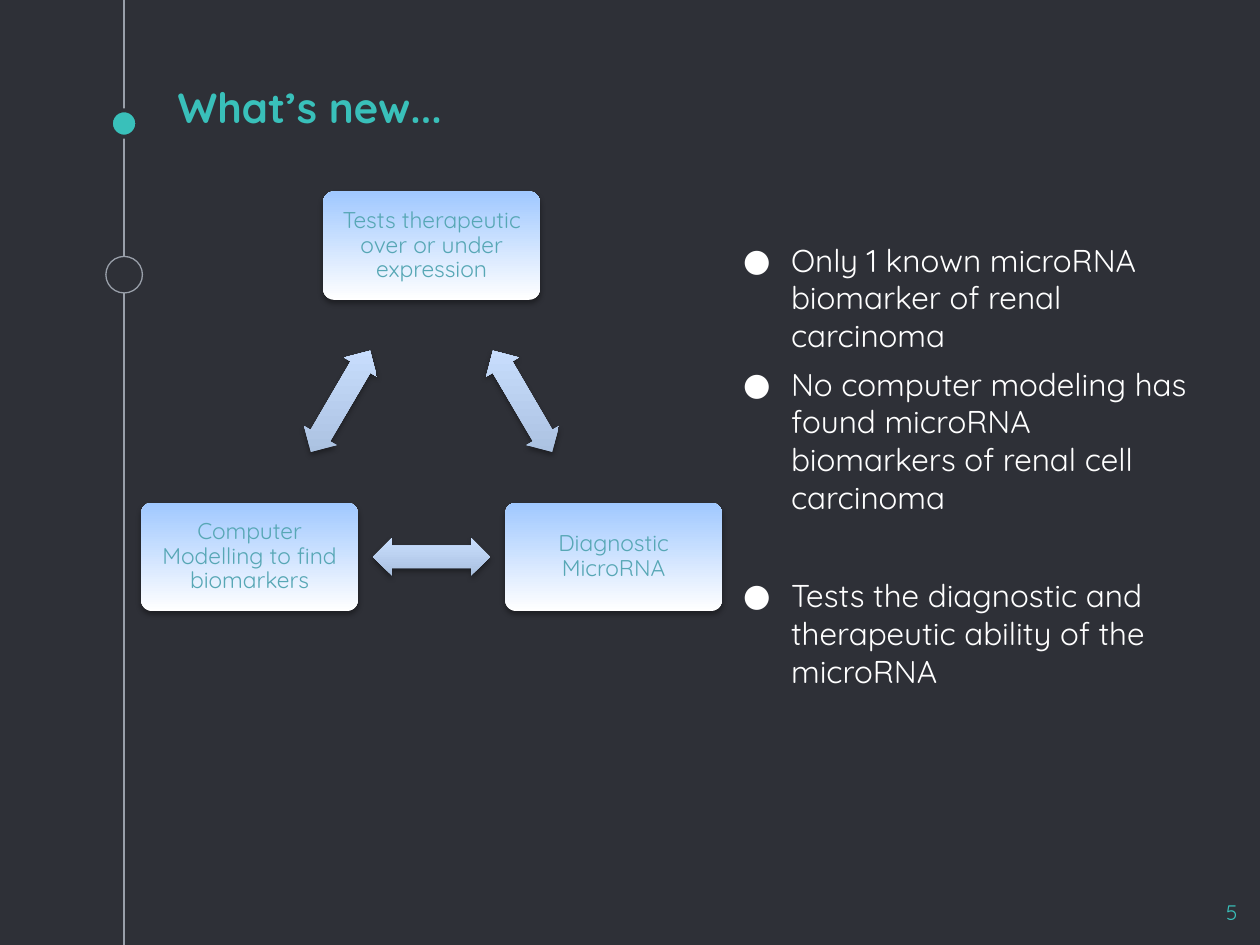
from collections import namedtuple
from math import atan2, degrees

from lxml import etree
from pptx import Presentation
from pptx.dml.color import RGBColor
from pptx.enum.shapes import MSO_CONNECTOR, MSO_SHAPE
from pptx.enum.text import MSO_ANCHOR, PP_ALIGN
from pptx.oxml.ns import qn
from pptx.util import Inches, Pt

COLUMNS, ROWS, CELL = 100, 75, Inches(0.1)
FONT = "Quicksand"
TEAL = RGBColor(0x39, 0xC0, 0xBA)
DARK = RGBColor(0x2E, 0x30, 0x37)
GREY = RGBColor(0x99, 0x9F, 0xA9)
WHITE = RGBColor(0xFF, 0xFF, 0xFF)
BLACK = RGBColor(0x00, 0x00, 0x00)
NODE_TEXT = RGBColor(0x57, 0xA7, 0xB5)
NODE_BLUE = RGBColor(0xA0, 0xC8, 0xFF)
ARROW_LOW = RGBColor(0xA9, 0xC0, 0xDF)
ARROW_HIGH = RGBColor(0xCA, 0xDF, 0xFF)

OVAL = MSO_SHAPE.OVAL
ROUNDED = MSO_SHAPE.ROUNDED_RECTANGLE
DOUBLE_ARROW = MSO_SHAPE.LEFT_RIGHT_ARROW
STRAIGHT = MSO_CONNECTOR.STRAIGHT
TOP, MIDDLE, BOTTOM = MSO_ANCHOR.TOP, MSO_ANCHOR.MIDDLE, MSO_ANCHOR.BOTTOM
LEFT, CENTER, RIGHT = PP_ALIGN.LEFT, PP_ALIGN.CENTER, PP_ALIGN.RIGHT

Box = namedtuple("Box", "left top width height")

FINDINGS = [
    ("Only 1 known microRNA biomarker of renal carcinoma", 6),
    ("No computer modeling has found microRNA biomarkers of renal cell carcinoma", 6),
    ("Tests the diagnostic and therapeutic ability of the microRNA", 34.5),
]
STEPS = [
    ("Tests therapeutic over or under expression", 0.5, 0),
    ("Diagnostic MicroRNA", 1, 1),
    ("Computer Modelling to find biomarkers", 0, 1),
]
STEP_LINKS = [(0, 1), (2, 1), (2, 0)]


def apply(target, formats):
    """Set each attribute of target from a dict of format values."""
    for name, value in formats.items():
        setattr(target, name, value)


def emu(box):
    """Turn grid cells into slide lengths."""
    return [round(cells * CELL) for cells in box]


def prepare_frame(frame, inset, anchor):
    """Make a text frame wrap, with equal insets and the given anchor."""
    margins = {f"margin_{side}": Inches(inset) for side in ("left", "right", "top", "bottom")}
    apply(frame, {"word_wrap": True, "vertical_anchor": anchor, **margins})


def write(paragraph, text, size, color, align, bold=False):
    """Write one run of text into a paragraph."""
    paragraph.alignment = align
    run = paragraph.add_run()
    run.text = text
    apply(run.font, {"name": FONT, "size": Pt(size), "bold": bold})
    run.font.color.rgb = color


def add_solid(slide, kind, box, fill, line, line_width):
    """Add a flat shape with an outline."""
    shape = slide.shapes.add_shape(kind, *emu(box))
    shape.shadow.inherit = False
    shape.fill.solid()
    shape.fill.fore_color.rgb = fill
    shape.line.color.rgb = line
    shape.line.width = Pt(line_width)


def add_raised(slide, kind, box, low, high, adjustments):
    """Add a shape with an upright gradient and a soft shadow below."""
    shape = slide.shapes.add_shape(kind, *emu(box))
    for index, value in enumerate(adjustments):
        shape.adjustments[index] = value
    shape.line.fill.background()
    shape.fill.gradient()
    shape.fill.gradient_angle = 90
    for stop, color in zip(shape.fill.gradient_stops, (low, high)):
        stop.color.rgb = color
    properties = shape._element.spPr
    properties.find(qn("a:gradFill")).set("rotWithShape", "0")
    shape.shadow.inherit = False
    shadow = etree.SubElement(
        properties.find(qn("a:effectLst")), qn("a:outerShdw"),
        blurRad=str(Pt(3.1)), dist=str(Pt(1.8)), dir="5400000", rotWithShape="0")
    shade = etree.SubElement(shadow, qn("a:srgbClr"), val=str(BLACK))
    etree.SubElement(shade, qn("a:alpha"), val="35000")
    return shape


def add_timeline(slide, box):
    """Draw the vertical line with its dot and ring, centred in the box."""
    middle = box.left + box.width / 2
    x, top, _, height = emu(Box(middle, box.top, 0, box.height))
    rail = slide.shapes.add_connector(STRAIGHT, x, top, x, top + height)
    rail.line.color.rgb = GREY
    rail.line.width = Pt(0.75)
    etree.SubElement(rail._element.spPr, qn("a:effectLst"))
    markers = [(9.8, 2.1, TEAL, DARK, 2.25), (21.8, box.width, DARK, GREY, 0.75)]
    for center, size, fill, line, line_width in markers:
        marker = Box(middle - size / 2, box.top + center - size / 2, size, size)
        add_solid(slide, OVAL, marker, fill, line, line_width)


def add_title(slide, box):
    """Place and format the title placeholder."""
    title = slide.shapes.title
    apply(title, dict(zip(Box._fields, emu(box))))
    prepare_frame(title.text_frame, 0.1, BOTTOM)
    write(title.text_frame.paragraphs[0], "What’s new...", 24, TEAL, LEFT, bold=True)


def add_findings(slide, box):
    """List the findings as bullets."""
    frame = slide.shapes.add_textbox(*emu(box)).text_frame
    prepare_frame(frame, 0.1, TOP)
    frame.margin_top = Inches(0.39)
    for index, (finding, gap) in enumerate(FINDINGS):
        paragraph = frame.paragraphs[0] if index == 0 else frame.add_paragraph()
        write(paragraph, finding, 18, WHITE, LEFT)
        paragraph.space_before = Pt(gap if index else 0)
        properties = paragraph._p.get_or_add_pPr()
        properties.set("marL", str(Inches(0.5)))
        properties.set("indent", str(Inches(-0.38)))
        bullet_color = etree.SubElement(properties, qn("a:buClr"))
        etree.SubElement(bullet_color, qn("a:srgbClr"), val=str(WHITE))
        etree.SubElement(properties, qn("a:buFont"), typeface=FONT)
        etree.SubElement(properties, qn("a:buChar"), char="●")


def add_cycle(slide, box):
    """Draw the three steps in a triangle, with a double arrow midway between each pair."""
    step_width, step_height = 17.2, 8.6
    arrow_width, arrow_height = 9.3, 3
    centers = []
    for step, across, down in STEPS:
        node = Box(box.left + across * (box.width - step_width),
                   box.top + down * (box.height - step_height), step_width, step_height)
        centers.append((node.left + step_width / 2, node.top + step_height / 2))
        shape = add_raised(slide, ROUNDED, node, WHITE, NODE_BLUE, [0.1])
        prepare_frame(shape.text_frame, 0.07, MIDDLE)
        paragraph = shape.text_frame.paragraphs[0]
        write(paragraph, step, 13, NODE_TEXT, CENTER)
        paragraph.line_spacing = 0.9
    for start, end in STEP_LINKS:
        (x1, y1), (x2, y2) = centers[start], centers[end]
        link = Box((x1 + x2 - arrow_width) / 2, (y1 + y2 - arrow_height) / 2,
                   arrow_width, arrow_height)
        arrow = add_raised(slide, DOUBLE_ARROW, link, ARROW_LOW, ARROW_HIGH, [0.6, 0.5])
        arrow.rotation = degrees(atan2(y2 - y1, x2 - x1))


def add_page_number(slide, box):
    """Write the page number at the right of the box."""
    frame = slide.shapes.add_textbox(*emu(box)).text_frame
    prepare_frame(frame, 0.1, TOP)
    write(frame.paragraphs[0], "5", 12, TEAL, RIGHT)


def main():
    """Build the slide and save it."""
    deck = Presentation()
    apply(deck, {"slide_width": COLUMNS * CELL, "slide_height": ROWS * CELL})
    slide = deck.slides.add_slide(deck.slide_layouts[5])
    slide.background.fill.solid()
    slide.background.fill.fore_color.rgb = DARK
    add_timeline(slide, Box(8.4, 0, 2.9, ROWS))
    add_title(slide, Box(13.1, 6.5, 75, 5))
    add_findings(slide, Box(56.8, 15.2, 39.4, 34.9))
    add_page_number(slide, Box(93.2, 70.4, 6, 4.6))
    add_cycle(slide, Box(11.2, 15.2, 46.1, 33.3))
    deck.save("out.pptx")


if __name__ == "__main__":
    main()
